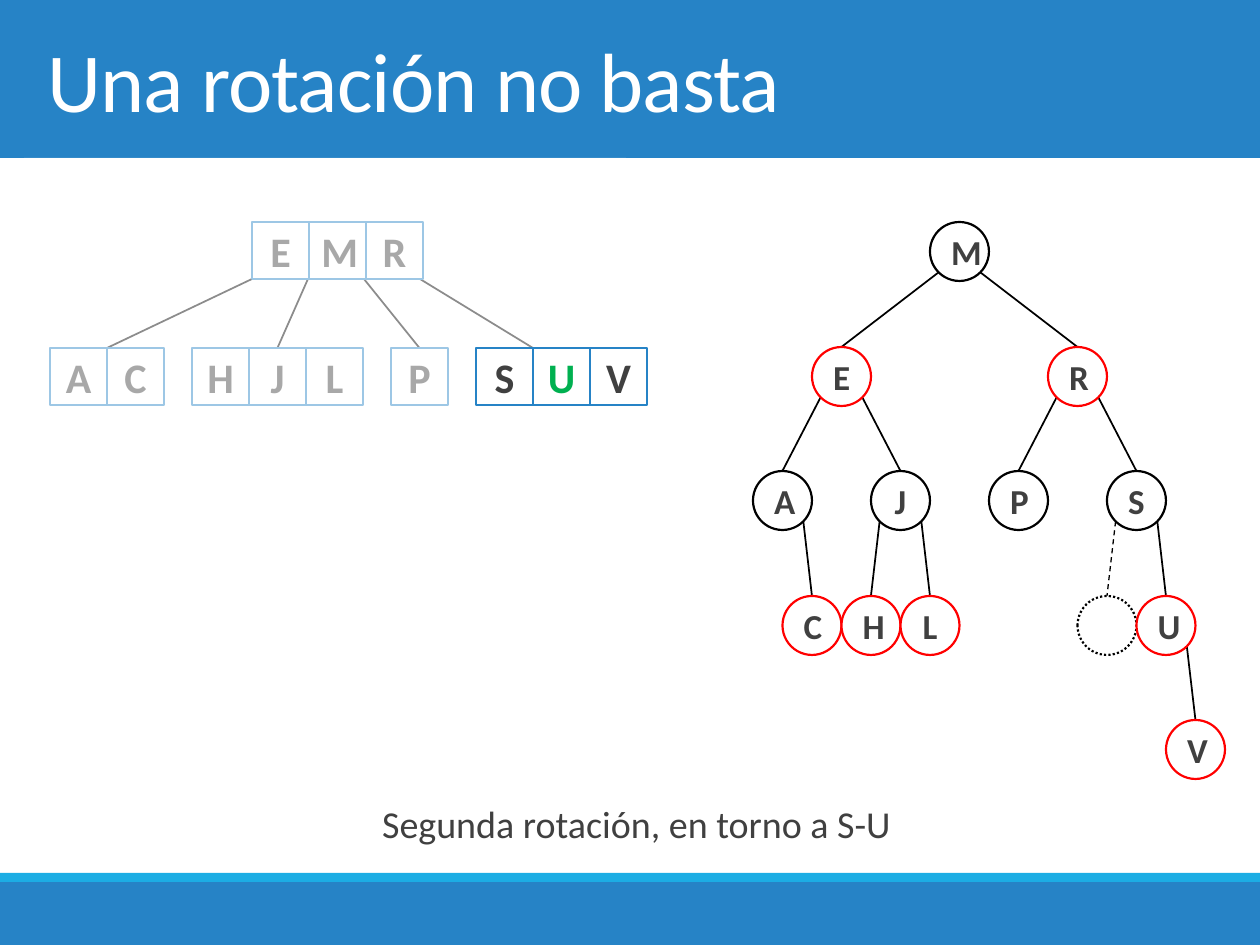
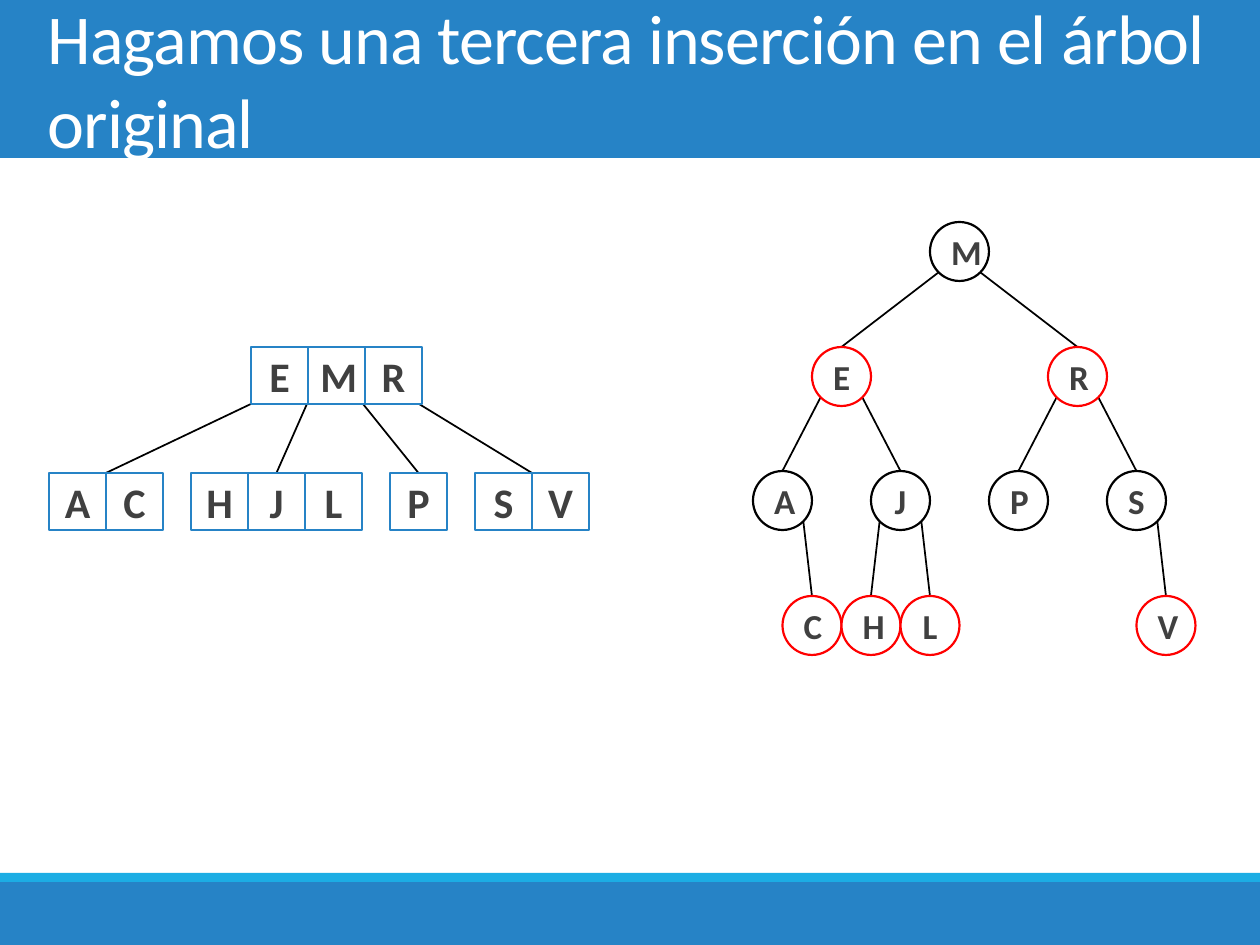
"""Builds two slides that compare a 2-4 tree with its red-black tree."""
from dataclasses import dataclass

from lxml import etree
from pptx import Presentation
from pptx import util as u
from pptx.dml.color import RGBColor
from pptx.enum import dml, shapes, text
from pptx.oxml.ns import qn

SCALE = 914400 // 126
WIDTH, HEIGHT = 1260, 945
CELL, ROW_GAP, ROOT_SHIFT, ROOT_STEP = 57, 126, 202, 56
NODE, TREE_LEFT = 59, 753
NODE_TOPS = (222, 347, 471, 596, 720)
CORNER = 0.5 ** 0.5

# Each node: half-node column, level, parent.
SHARED_NODES = {
    "M": (6, 0, None), "E": (2, 1, "M"), "R": (10, 1, "M"),
    "A": (0, 2, "E"), "J": (4, 2, "E"), "P": (8, 2, "R"), "S": (12, 2, "R"),
    "C": (1, 3, "A"), "H": (3, 3, "J"), "L": (5, 3, "J"),
}
GHOST = ""


@dataclass(frozen=True)
class Theme:
    """Colours, font and sizes that the slides share."""
    font: str = "Calibri"
    blue: str = "2683C6"
    sky: str = "1CADE4"
    ink: str = "404040"
    white: str = "FFFFFF"
    black: str = "000000"
    red: str = "FF0000"
    green: str = "00B050"
    node_size: float = 20
    cell_size: float = 24
    caption_size: float = 21.7
    outline: float = 1.25
    edge: float = 1


THEME = Theme()


def px(length):
    """Turn picture pixels into EMU."""
    return u.Emu(round(length * SCALE))


def rgb(colour):
    """Turn a hex string into a colour."""
    return RGBColor.from_string(colour)


def style_text(paragraph, size, colour, align, bold=False):
    """Set font and alignment of one paragraph."""
    paragraph.alignment = align
    font = paragraph.font
    font.name, font.size, font.bold = THEME.font, u.Pt(size), bold
    font.color.rgb = rgb(colour)


def add_box(slide, kind, left, top, width, height, fill, outline=None):
    """Add a flat preset shape."""
    box = slide.shapes.add_shape(kind, px(left), px(top), px(width), px(height))
    box.shadow.inherit = False
    box.fill.solid()
    box.fill.fore_color.rgb = rgb(fill)
    if outline:
        box.line.color.rgb = rgb(outline)
        box.line.width = u.Pt(THEME.outline)
    else:
        box.line.fill.background()
    return box


def add_key(slide, kind, left, top, side, key, outline, size, colour=THEME.ink):
    """Add a square or circle that holds one key."""
    holder = add_box(slide, kind, left, top, side, side, THEME.white, outline)
    if key:
        holder.text_frame.text = key
        holder.text_frame.vertical_anchor = text.MSO_ANCHOR.MIDDLE
        style_text(holder.text_frame.paragraphs[0], size, colour,
                   text.PP_ALIGN.CENTER, bold=True)
    return holder


def add_edge(slide, start, end, dashed=False):
    """Add a straight line between two points."""
    edge = slide.shapes.add_connector(
        shapes.MSO_CONNECTOR.STRAIGHT, *map(px, (*start, *end)))
    edge.line.color.rgb = rgb(THEME.black)
    edge.line.width = u.Pt(0.75 if dashed else THEME.edge)
    if dashed:
        edge.line.dash_style = dml.MSO_LINE.DASH
    etree.SubElement(edge.element.spPr, qn("a:effectLst"))


def add_cells(slide, left, top, keys, fresh=""):
    """Add one 2-4 node as a row of cells."""
    for i, key in enumerate(keys):
        add_key(slide, shapes.MSO_SHAPE.RECTANGLE, left + i * CELL, top, CELL,
                key, THEME.blue, THEME.cell_size,
                THEME.green if key == fresh else THEME.ink)


def add_veil(slide):
    """Fade what lies under the left half."""
    veil = add_box(slide, shapes.MSO_SHAPE.RECTANGLE, 24, 158, 602, 617,
                   THEME.white)
    colour = veil.element.spPr.find(qn("a:solidFill"))[0]
    etree.SubElement(colour, qn("a:alpha")).set("val", "55000")


def draw_24_tree(slide, left, top, leaves, fresh=""):
    """Draw root EMR and its leaves, fading all but a leaf with a fresh key."""
    root_left, leaf_top = left + ROOT_SHIFT, top + ROW_GAP
    lefts = [left]
    for leaf in leaves[:-1]:
        lefts.append(lefts[-1] + len(leaf) * CELL + CELL // 2)
    ends = [x + len(leaf) * CELL / 2 for x, leaf in zip(lefts, leaves)]
    ends[-1] = lefts[-1] + CELL
    for i, end in enumerate(ends):
        add_edge(slide, (root_left + i * ROOT_STEP, top + CELL), (end, leaf_top))
    add_cells(slide, root_left, top, "EMR")
    for x, leaf in zip(lefts[:-1], leaves):
        add_cells(slide, x, leaf_top, leaf)
    if fresh:
        add_veil(slide)
    add_cells(slide, lefts[-1], leaf_top, leaves[-1], fresh)


def draw_red_black_tree(slide, nodes):
    """Draw edges, then circles that are red on the odd and deepest levels."""
    places = {key: (TREE_LEFT + column * NODE / 2, NODE_TOPS[level])
              for key, (column, level, _) in nodes.items()}
    for key, (column, _, parent) in nodes.items():
        if parent:
            x, y = places[parent]
            side = -1 if column < nodes[parent][0] else 1
            start = (x + NODE / 2 * (1 + side * CORNER),
                     y + NODE / 2 * (1 + CORNER))
            end = (places[key][0] + NODE / 2, places[key][1])
            add_edge(slide, start, end, dashed=key == GHOST)
    for key, (_, level, _) in nodes.items():
        black = level in (0, 2) or key == GHOST
        circle = add_key(slide, shapes.MSO_SHAPE.OVAL, *places[key], NODE, key,
                         THEME.black if black else THEME.red, THEME.node_size)
        if key == GHOST:
            circle.line.dash_style = dml.MSO_LINE.ROUND_DOT


def fill_placeholder(holder, words, left, top, width, height):
    """Place a placeholder, give it its words and return the paragraph."""
    holder.left, holder.top = px(left), px(top)
    holder.width, holder.height = px(width), px(height)
    frame = holder.text_frame
    frame.text = words
    frame.word_wrap = True
    frame.auto_size = text.MSO_AUTO_SIZE.NONE
    return frame.paragraphs[0]


def add_title(slide, words, size):
    """Write the title on the top band."""
    title = fill_placeholder(slide.shapes.title, words, 35, 0, 1191, 158)
    slide.shapes.title.text_frame.vertical_anchor = text.MSO_ANCHOR.MIDDLE
    style_text(title, size, THEME.white, text.PP_ALIGN.LEFT)
    title.font._rPr.set("spc", "-50")


def add_caption(slide, words):
    """Write the centred caption above the bottom band."""
    caption = fill_placeholder(slide.placeholders[1], words, 35, 781, 1191, 72)
    properties = caption._p.get_or_add_pPr()
    properties.set("marL", str(px(12)))
    properties.set("indent", "0")
    etree.SubElement(properties, qn("a:buNone"))
    caption.line_spacing = 1.3
    caption.space_before, caption.space_after = u.Pt(12), u.Pt(2)
    style_text(caption, THEME.caption_size, THEME.ink, text.PP_ALIGN.CENTER)


def add_master_bands(deck, slide):
    """Put the bands on the master, behind its placeholders."""
    bands = ((0, 158, THEME.blue), (882, 63, THEME.blue), (873, 9, THEME.sky))
    for i, (top, height, colour) in enumerate(bands):
        band = add_box(slide, shapes.MSO_SHAPE.RECTANGLE, 0, top, WIDTH, height,
                       colour)
        band.element.nvSpPr.cNvPr.set("id", str(100 + i))
        deck.slide_master.shapes.element.insert(2 + i, band.element)


def main():
    """Build and save the slides."""
    deck = Presentation()
    deck.slide_width, deck.slide_height = px(WIDTH), px(HEIGHT)

    rotation = deck.slides.add_slide(deck.slide_layouts[1])
    add_master_bands(deck, rotation)
    add_title(rotation, "Una rotación no basta", 48)
    draw_24_tree(rotation, 50, 222, ("AC", "HJL", "P", "SUV"), fresh="U")
    draw_red_black_tree(rotation, SHARED_NODES | {
        GHOST: (11, 3, "S"), "U": (13, 3, "S"), "V": (14, 4, "U")})
    add_caption(rotation, "Segunda rotación, en torno a S-U")

    insertion = deck.slides.add_slide(deck.slide_layouts[5])
    add_title(insertion, "Hagamos una tercera inserción en el árbol original", 40)
    draw_24_tree(insertion, 49, 347, ("AC", "HJL", "P", "SV"))
    draw_red_black_tree(insertion, SHARED_NODES | {"V": (13, 3, "S")})

    deck.save("out.pptx")


main()
